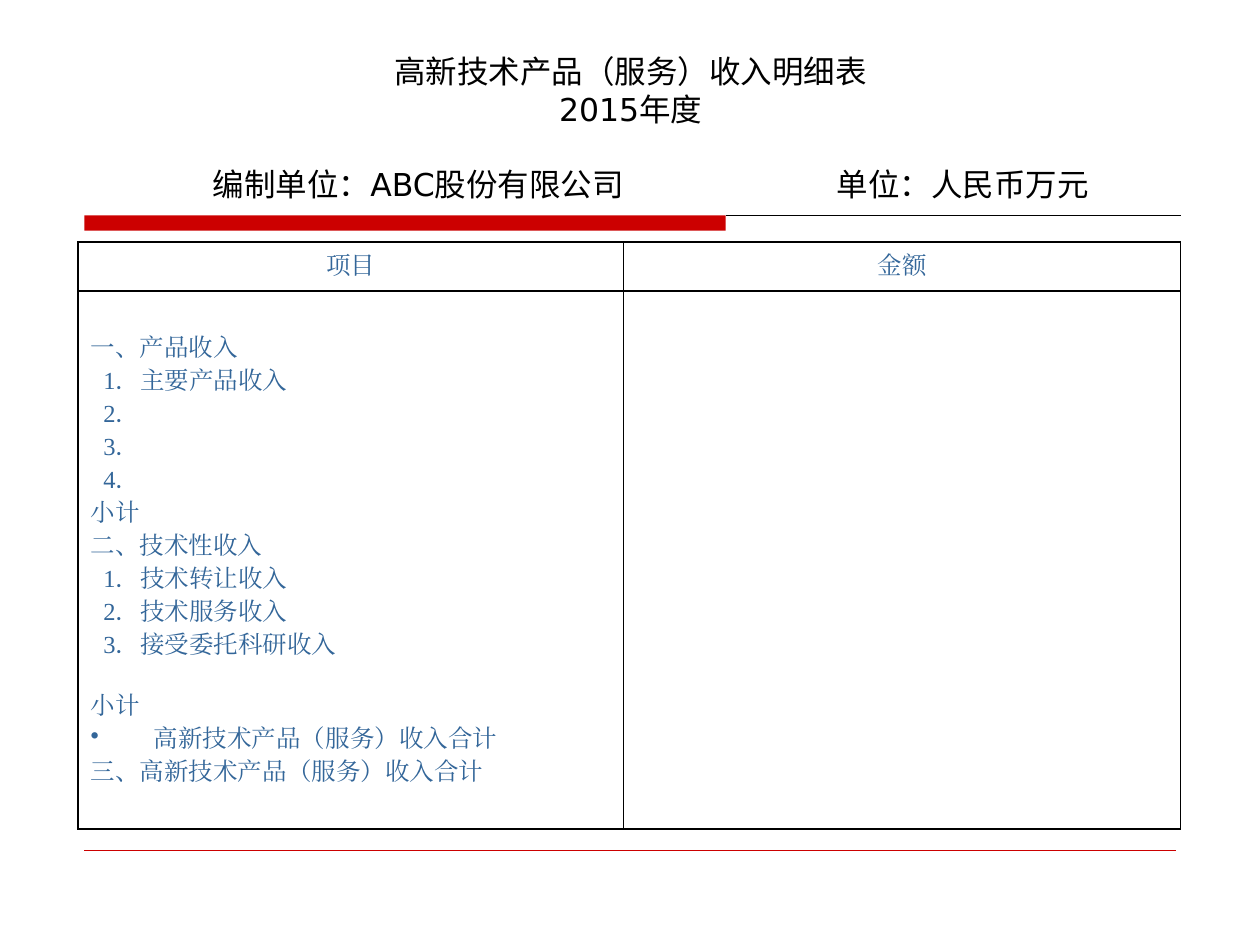
from lxml import etree
from pptx import Presentation, util as u
from pptx.dml.color import RGBColor
from pptx.enum import shapes, text
from pptx.oxml.ns import qn

theme = {
    "red": RGBColor.from_string("CC0000"),
    "black": RGBColor.from_string("000000"),
    "blue": RGBColor.from_string("336699"),
    "title_font": "DejaVu Sans", "table_font": "Times New Roman",
    "title_size": u.Pt(18), "table_size": u.Pt(14),
}


def add_run(p, words, font, size, color):
    r = p.add_run()
    r.text = words
    r.font.name, r.font.size, r.font.bold = font, size, False
    r.font.color.rgb = color
    etree.SubElement(r._r.get_or_add_rPr(), qn("a:ea"), typeface=font)


def add_line(s, x1, x2, y, color, width):
    line = s.shapes.add_connector(shapes.MSO_CONNECTOR.STRAIGHT,
                                  u.Inches(x1), u.Inches(y), u.Inches(x2), u.Inches(y))
    line.line.color.rgb = color
    line.line.width = u.Pt(width)
    etree.SubElement(line._element.spPr, qn("a:effectLst"))


prs = Presentation()
prs.slide_width, prs.slide_height = u.Inches(10), u.Inches(7.5)
s = prs.slides.add_slide(prs.slide_layouts[5])

# Header bar and rules
bar = s.shapes.add_shape(shapes.MSO_SHAPE.RECTANGLE, u.Inches(0.67), u.Inches(1.71),
                         u.Inches(5.09), u.Inches(0.12))
bar.shadow.inherit = False
bar.fill.solid()
bar.fill.fore_color.rgb = theme["red"]
bar.line.fill.background()
add_line(s, 5.76, 9.37, 1.71, theme["black"], 0.75)
add_line(s, 0.67, 9.33, 6.75, theme["red"], 0.25)

# Title, with the company and the unit set on tab stops
title = s.shapes.title
title.left, title.top = u.Inches(0.63), u.Inches(0.33)
title.width, title.height = u.Inches(8.75), u.Inches(1.33)
tf = title.text_frame
tf.auto_size = text.MSO_AUTO_SIZE.NONE
tf.word_wrap = True
tf.vertical_anchor = text.MSO_ANCHOR.BOTTOM
lines = ["高新技术产品（服务）收入明细表", "2015年度",
         "\t编制单位：ABC股份有限公司\t单位：人民币万元"]
for i, words in enumerate(lines):
    p = tf.paragraphs[0] if i == 0 else tf.add_paragraph()
    p.alignment = text.PP_ALIGN.CENTER
    add_run(p, words, theme["title_font"], theme["title_size"], theme["black"])
p.alignment = text.PP_ALIGN.LEFT
p.space_before = u.Pt(21.5)
tabs = etree.SubElement(p._p.get_or_add_pPr(), qn("a:tabLst"))
for stop in (0.96, 5.91):
    etree.SubElement(tabs, qn("a:tab"), pos=str(u.Inches(stop)), algn="l")

# Income table
table = s.shapes.add_table(2, 2, u.Inches(0.62), u.Inches(1.92),
                           u.Inches(8.75), u.Inches(4.66)).table
table.first_row = table.horz_banding = False
for col, width in zip(table.columns, (4.33, 4.42)):
    col.width = u.Inches(width)
for row, height in zip(table.rows, (0.39, 4.27)):
    row.height = u.Inches(height)
for cell in table.iter_cells():
    cell.vertical_anchor = text.MSO_ANCHOR.MIDDLE
    tcPr = cell._tc.get_or_add_tcPr()
    for side in ("lnL", "lnR", "lnT", "lnB"):
        ln = etree.SubElement(tcPr, qn("a:" + side), w=str(u.Pt(1)))
        fill = etree.SubElement(ln, qn("a:solidFill"))
        etree.SubElement(fill, qn("a:srgbClr"), val=str(theme["black"]))
    cell.fill.background()

for cell, words in zip(table.rows[0].cells, ("项目", "金额")):
    p = cell.text_frame.paragraphs[0]
    p.alignment = text.PP_ALIGN.CENTER
    add_run(p, words, theme["table_font"], theme["table_size"], theme["blue"])

# Items: kind of line, space before in points, text
items = [
    ("head", 3.4, "一、产品收入"),
    ("item", 3.4, "1．主要产品收入"),
    ("item", 3.4, "2．"),
    ("item", 3.4, "3．"),
    ("item", 3.4, "4．"),
    ("head", 3.4, "小计"),
    ("head", 3.4, "二、技术性收入"),
    ("item", 3.4, "1．技术转让收入"),
    ("item", 3.4, "2．技术服务收入"),
    ("item", 3.4, "3．接受委托科研收入"),
    ("head", 19, "小计"),
    ("bullet", 3.4, "高新技术产品（服务）收入合计"),
    ("head", 3.4, "三、高新技术产品（服务）收入合计"),
]
indents = {"head": (0, 0), "item": (0.1, 0), "bullet": (0.5, -0.5)}
tf = table.cell(1, 0).text_frame
for i, (kind, gap, words) in enumerate(items):
    p = tf.paragraphs[0] if i == 0 else tf.add_paragraph()
    p.space_before = u.Pt(gap)
    pPr = p._p.get_or_add_pPr()
    margin, indent = indents[kind]
    pPr.set("marL", str(u.Inches(margin)))
    pPr.set("indent", str(u.Inches(indent)))
    if kind == "bullet":
        etree.SubElement(pPr, qn("a:buChar"), char="•")
    add_run(p, words, theme["table_font"], theme["table_size"], theme["blue"])

prs.save("out.pptx")
